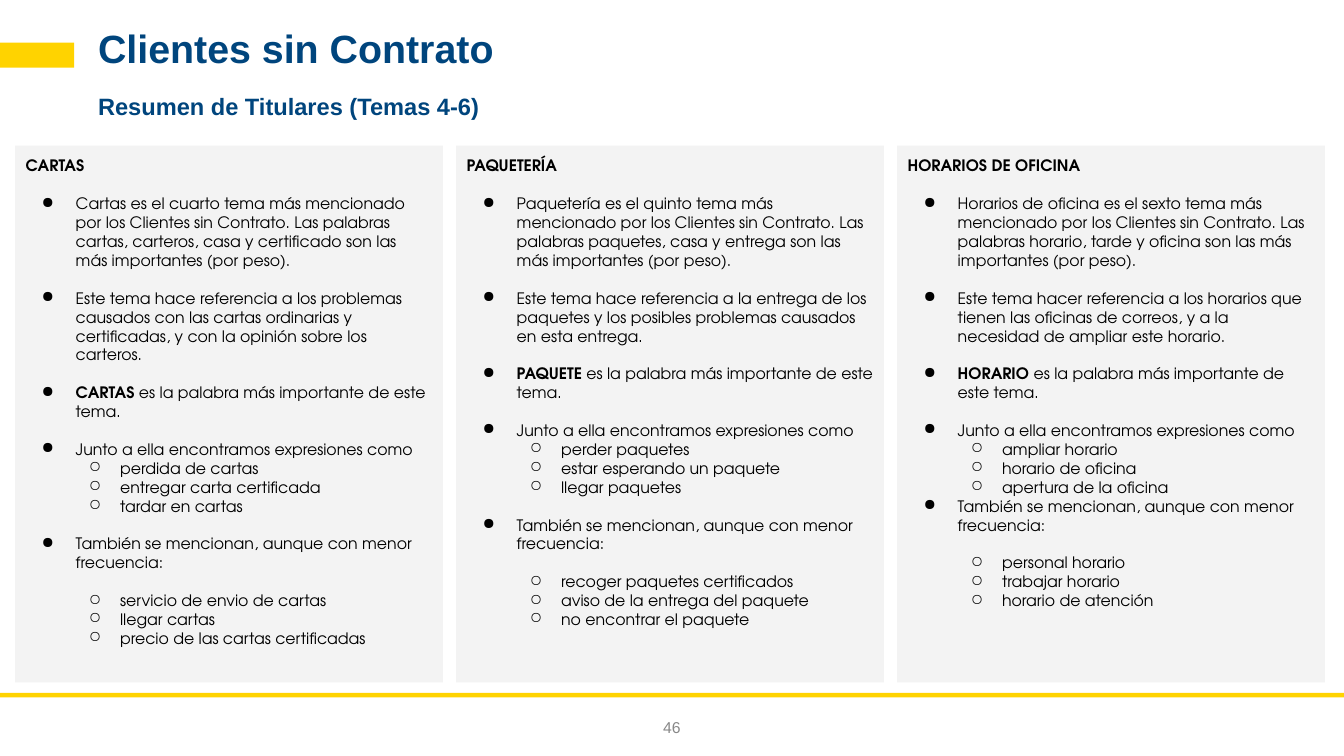
from lxml.etree import SubElement
from pptx import Presentation
from pptx.dml.color import RGBColor
from pptx.enum.shapes import MSO_SHAPE as Preset
from pptx.enum.text import MSO_ANCHOR as Anchor, MSO_AUTO_SIZE as AutoSize, PP_ALIGN as Align
from pptx.oxml.ns import qn
from pptx.util import Pt

COLUMNS = [
    (
        "CARTAS",
        "Cartas es el cuarto tema más mencionado por los Clientes sin Contrato. Las palabras "
        "cartas, carteros, casa y certificado son las más importantes (por peso).",
        "Este tema hace referencia a los problemas causados con las cartas ordinarias y "
        "certificadas, y con la opinión sobre los carteros.",
        "CARTAS ",
        ["perdida de cartas", "entregar carta certificada", "tardar en cartas"],
        ["servicio de envio de cartas", "llegar cartas", "precio de las cartas certificadas"],
        True,
    ),
    (
        "PAQUETERÍA",
        "Paquetería es el quinto tema más mencionado por los Clientes sin Contrato. Las palabras "
        "paquetes, casa y entrega son las más importantes (por peso).",
        "Este tema hace referencia a la entrega de los paquetes y los posibles problemas "
        "causados en esta entrega.",
        "PAQUETE ",
        ["perder paquetes", "estar esperando un paquete", "llegar paquetes"],
        ["recoger paquetes certificados", "aviso de la entrega del paquete", "no encontrar el paquete"],
        True,
    ),
    (
        "HORARIOS DE OFICINA",
        "Horarios de oficina es el sexto tema más mencionado por los Clientes sin Contrato. Las "
        "palabras horario, tarde y oficina son las más importantes (por peso).",
        "Este tema hacer referencia a los horarios que tienen las oficinas de correos, y a la "
        "necesidad de ampliar este horario.",
        "HORARIO ",
        ["ampliar horario", "horario de oficina", "apertura de la oficina"],
        ["personal horario", "trabajar horario", "horario de atención"],
        False,
    ),
]


def color(value):
    """Turn a hex string into a colour."""
    return RGBColor.from_string(value)


def add_bullet(para, level):
    """Give a paragraph the bullet and indents of its level."""
    margin, indent, mark = [(38.2, -25.9, "●"), (72, -23.8, "○")][level]
    para.level = level
    props = para._p.get_or_add_pPr()
    props.set("marL", str(int(Pt(margin))))
    props.set("indent", str(int(Pt(indent))))
    SubElement(SubElement(props, qn("a:buClr")), qn("a:srgbClr"), val="000000")
    SubElement(props, qn("a:buChar"), char=mark)


def write(frame, text, *, font="Arial", size=12, ink="000000", bold=False, lead="",
          level=None, before=0, align=Align.LEFT, spacing=None):
    """Add a paragraph, with an optional bold lead, to a text frame."""
    para = frame.paragraphs[0]
    if para.runs:
        para = frame.add_paragraph()
    if level is not None:
        add_bullet(para, level)
    para.alignment, para.space_before, para.line_spacing = align, Pt(before), spacing
    for words, heavy in ((lead, True), (text, bold)):
        if words:
            span = para.add_run()
            span.text = words
            span.font.name, span.font.size, span.font.bold = font, Pt(size), heavy
            span.font.color.rgb = color(ink)


class SlideBuilder:
    """Hold the style and the current slide."""

    blue, yellow, pale, grey = "00457D", "FFD300", "F3F3F3", "888888"
    body_font, line_gap = "TeX Gyre Adventor", 14.4

    def __init__(self, deck):
        """Start a slide with a title and a subtitle."""
        self.page = deck.slides.add_slide(deck.slide_layouts[0])

    def frame(self, box, inset_x, inset_y, anchor):
        """Set up the text frame of a box."""
        frame = box.text_frame
        frame.word_wrap, frame.auto_size, frame.vertical_anchor = True, AutoSize.NONE, anchor
        frame.margin_left = frame.margin_right = Pt(inset_x)
        frame.margin_top = frame.margin_bottom = Pt(inset_y)
        return frame

    def heading(self, box, text, top, height, size):
        """Place and fill a heading placeholder."""
        box.left, box.top, box.width, box.height = Pt(67.5), Pt(top), Pt(930), Pt(height)
        frame = self.frame(box, 7.2, 7.2, Anchor.MIDDLE)
        write(frame, text, size=size, ink=self.blue, bold=True, spacing=0.9)

    def block(self, left, top, width, height, fill):
        """Draw a plain filled rectangle."""
        box = self.page.shapes.add_shape(Preset.RECTANGLE, Pt(left), Pt(top), Pt(width), Pt(height))
        box.shadow.inherit = False
        box.fill.solid()
        box.fill.fore_color.rgb = color(fill)
        box.line.fill.background()
        return box

    def number(self, text):
        """Write the page number."""
        box = self.page.shapes.add_textbox(Pt(490), Pt(531.5), Pt(44), Pt(44.5))
        write(self.frame(box, 7.2, 3.6, Anchor.MIDDLE), text, ink=self.grey, align=Align.CENTER)

    def panel(self, left, heading, mention, topic, keyword, phrases, others, spaced):
        """Draw one topic panel with its bullets."""
        frame = self.frame(self.block(left, 111, 326, 409, self.pale), 8, 8, Anchor.TOP)
        gap = self.line_gap

        def item(text, level=0, before=gap, **style):
            write(frame, text, font=self.body_font, level=level, before=before, **style)

        item(heading, level=None, before=0, bold=True)
        item(mention)
        item(topic)
        item("es la palabra más importante de este tema.", lead=keyword)
        item("Junto a ella encontramos expresiones como")
        for phrase in phrases:
            item(phrase, level=1, before=0)
        item("También se mencionan, aunque con menor frecuencia:", before=gap if spaced else 0)
        for index, phrase in enumerate(others):
            item(phrase, level=1, before=0 if index else gap)


def main():
    """Build and save the slide."""
    deck = Presentation()
    deck.slide_width, deck.slide_height = Pt(1024), Pt(576)
    builder = SlideBuilder(deck)
    title, subtitle = builder.page.placeholders
    builder.block(0, 527.8, 1024, 3.6, builder.yellow)
    builder.block(0, 32.5, 56.5, 19, builder.yellow)
    builder.heading(subtitle, "Clientes sin Contrato", 21, 36, 30)
    builder.heading(title, "Resumen de Titulares (Temas 4-6)", 71, 22, 18)
    for index, column in enumerate(COLUMNS):
        builder.panel(11.5 + 336 * index, *column)
    builder.number("46")
    deck.save("out.pptx")


if __name__ == "__main__":
    main()
